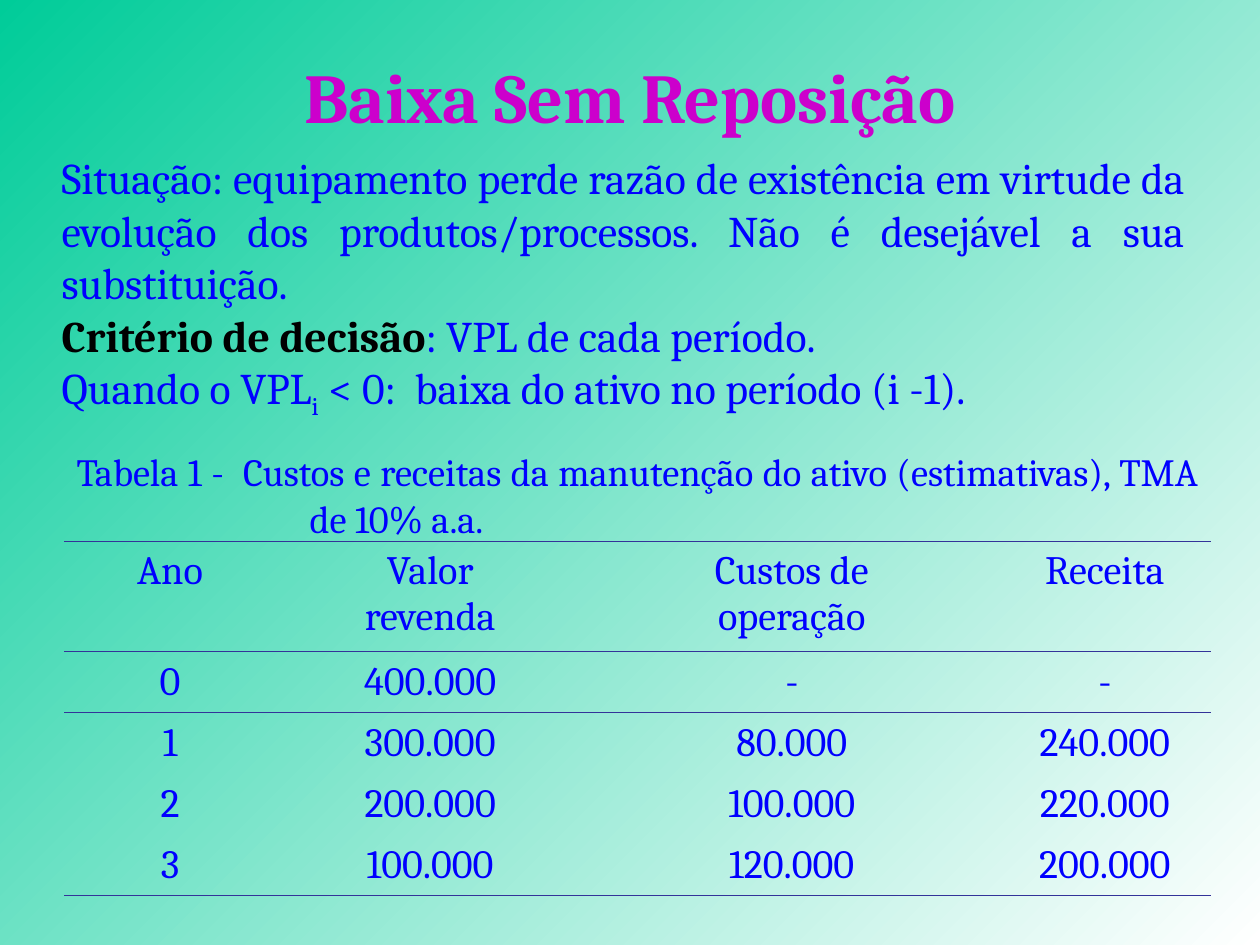
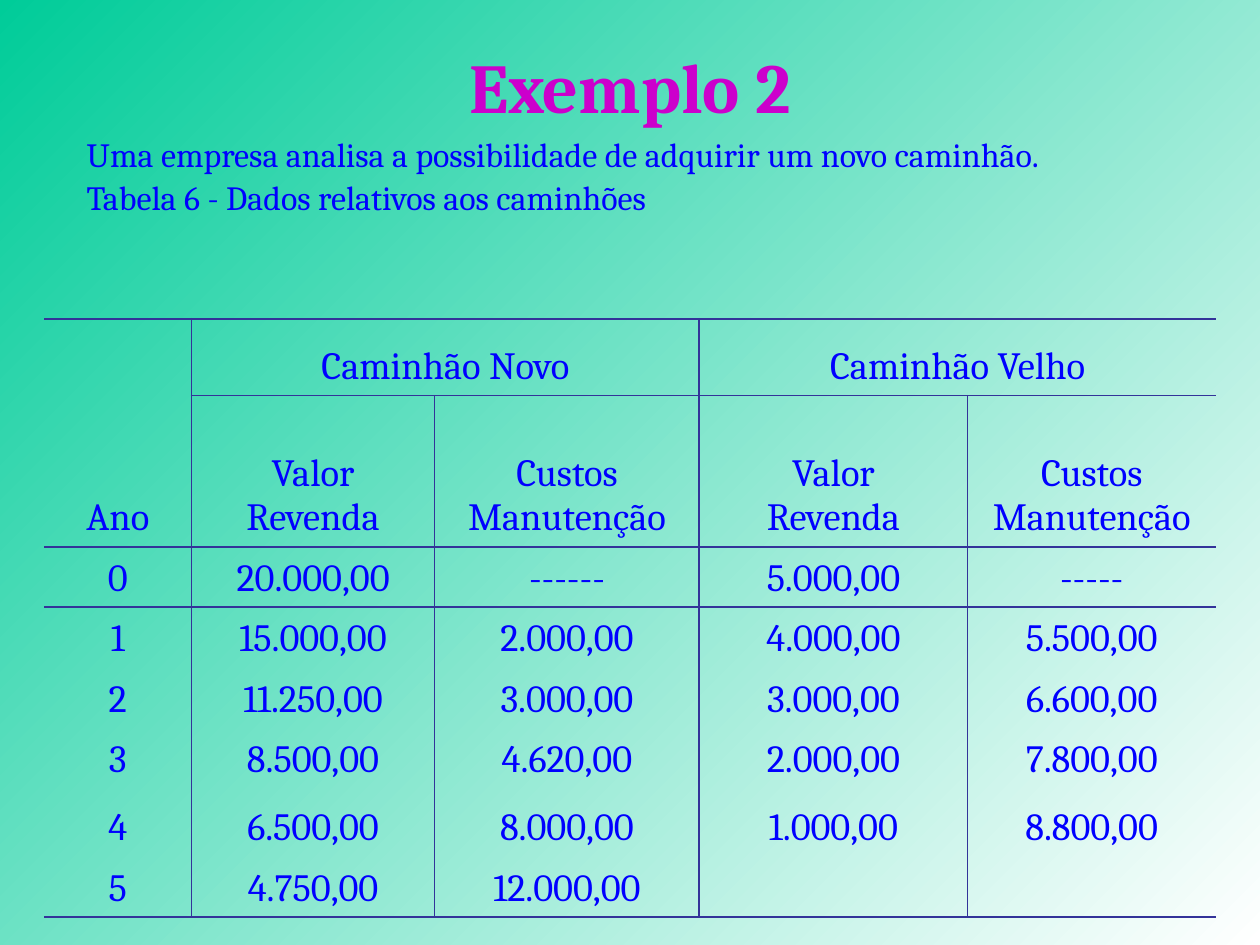
"""Builds two slides on retiring and replacing equipment."""
import dataclasses

import pptx
import pptx.dml.color
import pptx.enum.text
import pptx.oxml
import pptx.oxml.ns
import pptx.util

Inches = pptx.util.Inches
Pt = pptx.util.Pt
RGB = pptx.dml.color.RGBColor.from_string
ALIGN = pptx.enum.text.PP_ALIGN
ANCHOR = pptx.enum.text.MSO_ANCHOR
NO_GRID = "{2D5ABB26-0587-4C30-8999-92F81FD0307C}"


@dataclasses.dataclass(frozen=True)
class Theme:
    font: str = "Cambria"
    title: str = "CC00CC"
    text: str = "0000FF"
    strong: str = "000000"
    rule: str = "333399"
    back: tuple = ("00CC99", "FFFFFF")
    title_size: float = 40
    body_size: float = 25
    intro_size: float = 19.4
    table_size: float = 23
    small_size: float = 22


class Deck:
    def __init__(self, theme):
        self.theme = theme
        self.prs = pptx.Presentation()
        self.prs.slide_width, self.prs.slide_height = Inches(10), Inches(7.5)
        self.slide = None
        fill = self.prs.slide_master.background.fill
        fill.gradient()
        fill.gradient_angle = 315
        for stop, color in zip(fill.gradient_stops, theme.back):
            stop.color.rgb = RGB(color)

    def new_slide(self, title, height):
        self.slide = self.prs.slides.add_slide(self.prs.slide_layouts[6])
        heading = self.text((0.5, 0.13, 9, height), [title], self.theme.title_size,
                            align=ALIGN.CENTER, color=self.theme.title, anchor=ANCHOR.MIDDLE)
        heading.paragraphs[0].font.bold = True

    def set_lines(self, frame, lines, size, align, color=None):
        for i, line in enumerate(lines):
            paragraph = frame.add_paragraph() if i else frame.paragraphs[0]
            paragraph.alignment = align
            font = paragraph.font
            font.name, font.size = self.theme.font, Pt(size)
            font.color.rgb = RGB(color or self.theme.text)
            for part in [line] if isinstance(line, str) else line:
                words, style = (part, "") if isinstance(part, str) else part
                run = paragraph.add_run()
                run.text = words
                if style == "strong":
                    run.font.bold = True
                    run.font.color.rgb = RGB(self.theme.strong)
                elif style == "sub":
                    run.font._element.set("baseline", "-25000")

    def text(self, box, lines, size, align=ALIGN.JUSTIFY, color=None, anchor=ANCHOR.TOP):
        frame = self.slide.shapes.add_textbox(*map(Inches, box)).text_frame
        frame.word_wrap = True
        frame.vertical_anchor = anchor
        self.set_lines(frame, lines, size, align, color)
        return frame

    def edge(self, side, width):
        color = self.theme.rule
        return pptx.oxml.parse_xml(
            f'<a:{side} {pptx.oxml.ns.nsdecls("a")} w="{Pt(width)}"><a:solidFill>'
            f'<a:srgbClr val="{color}"/></a:solidFill></a:{side}>')

    def table(self, box, columns, heights, rows, size, width, row_lines,
              column_lines=(), merges=(), header_anchor=ANCHOR.BOTTOM):
        """Draws a table; row_lines maps a row boundary to its first ruled column."""
        table = self.slide.shapes.add_table(
            len(rows), len(columns), *map(Inches, box)).table
        table.first_row = table.horz_banding = False
        table._tbl.tblPr.find(pptx.oxml.ns.qn("a:tableStyleId")).text = NO_GRID
        for column, value in zip(table.columns, columns):
            column.width = Inches(value)
        for row, value in zip(table.rows, heights):
            row.height = Inches(value)
        for row, first, last in merges:
            table.cell(row, first).merge(table.cell(row, last))
        for r, row in enumerate(rows):
            for c, content in enumerate(row):
                cell = table.cell(r, c)
                cell.vertical_anchor = ANCHOR.BOTTOM if r else header_anchor
                ruled = {"lnL": c in column_lines, "lnR": c + 1 in column_lines,
                         "lnT": c >= row_lines.get(r, len(columns)),
                         "lnB": c >= row_lines.get(r + 1, len(columns))}
                for side in (side for side, drawn in ruled.items() if drawn):
                    cell._tc.get_or_add_tcPr().append(self.edge(side, width))
                cell.fill.background()
                if content:
                    self.set_lines(cell.text_frame, content.split("\n"), size, ALIGN.CENTER)


def withdrawal_slide(deck):
    theme = deck.theme
    deck.new_slide("Baixa Sem Reposição", 1.25)
    deck.text((0.39, 1.15, 9.11, 2.36), [
        "Situação: equipamento perde razão de existência em virtude da evolução dos "
        "produtos/processos. Não é desejável a sua substituição.",
        [("Critério de decisão", "strong"), ": VPL de cada período."],
        ["Quando o VPL", ("i", "sub"), " < 0:  baixa do ativo no período (i -1)."],
    ], theme.body_size)
    costs = [
        ["Ano", "Valor\nrevenda", "Custos de\noperação", "Receita"],
        ["0", "400.000", "-", "-"],
        ["1", "300.000", "80.000", "240.000"],
        ["2", "200.000", "100.000", "220.000"],
        ["3", "100.000", "120.000", "200.000"],
    ]
    deck.table((0.51, 4.3, 9.1, 2.8), [1.68, 2.45, 3.29, 1.68], [0.87] + [0.48] * 4,
               costs, theme.table_size, 0.45, {0: 0, 1: 0, 5: 0}, header_anchor=ANCHOR.TOP)
    caption = deck.text((0.51, 3.51, 9.1, 0.79), [
        "Tabela 1 -  Custos e receitas da manutenção do ativo (estimativas), TMA de 10% a.a.",
    ], theme.small_size)
    hanging = caption.paragraphs[0]._p.get_or_add_pPr()
    hanging.set("marL", str(Inches(1.85)))
    hanging.set("indent", str(-Inches(1.85)))


def truck_slide(deck):
    theme = deck.theme
    deck.new_slide("Exemplo 2", 1.1)
    intro = deck.text((0.59, 1.07, 8.74, 1.18), [
        "Uma empresa analisa a possibilidade de adquirir um novo caminhão.",
        "Tabela 6 - Dados relativos aos caminhões",
    ], theme.intro_size)
    for paragraph in intro.paragraphs:
        paragraph.line_spacing = 0.8
    intro.paragraphs[1].space_before = Pt(6.2)
    trucks = [
        ["", "Caminhão Novo", "", "Caminhão Velho", ""],
        ["Ano"] + ["Valor\nRevenda", "Custos Manutenção"] * 2,
        ["0", "20.000,00", "------", "5.000,00", "-----"],
        ["1", "15.000,00", "2.000,00", "4.000,00", "5.500,00"],
        ["2", "11.250,00", "3.000,00", "3.000,00", "6.600,00"],
        ["3", "8.500,00", "4.620,00", "2.000,00", "7.800,00"],
        ["4", "6.500,00", "8.000,00", "1.000,00", "8.800,00"],
        ["5", "4.750,00", "12.000,00", "", ""],
    ]
    deck.table((0.35, 2.53, 9.29, 4.74), [1.17, 1.93, 2.1, 2.13, 1.97],
               [0.61, 1.2] + [0.48] * 4 + [0.54, 0.48], trucks, theme.small_size, 1.08,
               {0: 0, 1: 1, 2: 0, 8: 0}, column_lines=(1, 3), merges=[(0, 1, 2), (0, 3, 4)])


def main():
    deck = Deck(Theme())
    withdrawal_slide(deck)
    truck_slide(deck)
    deck.prs.save("out.pptx")


if __name__ == "__main__":
    main()
